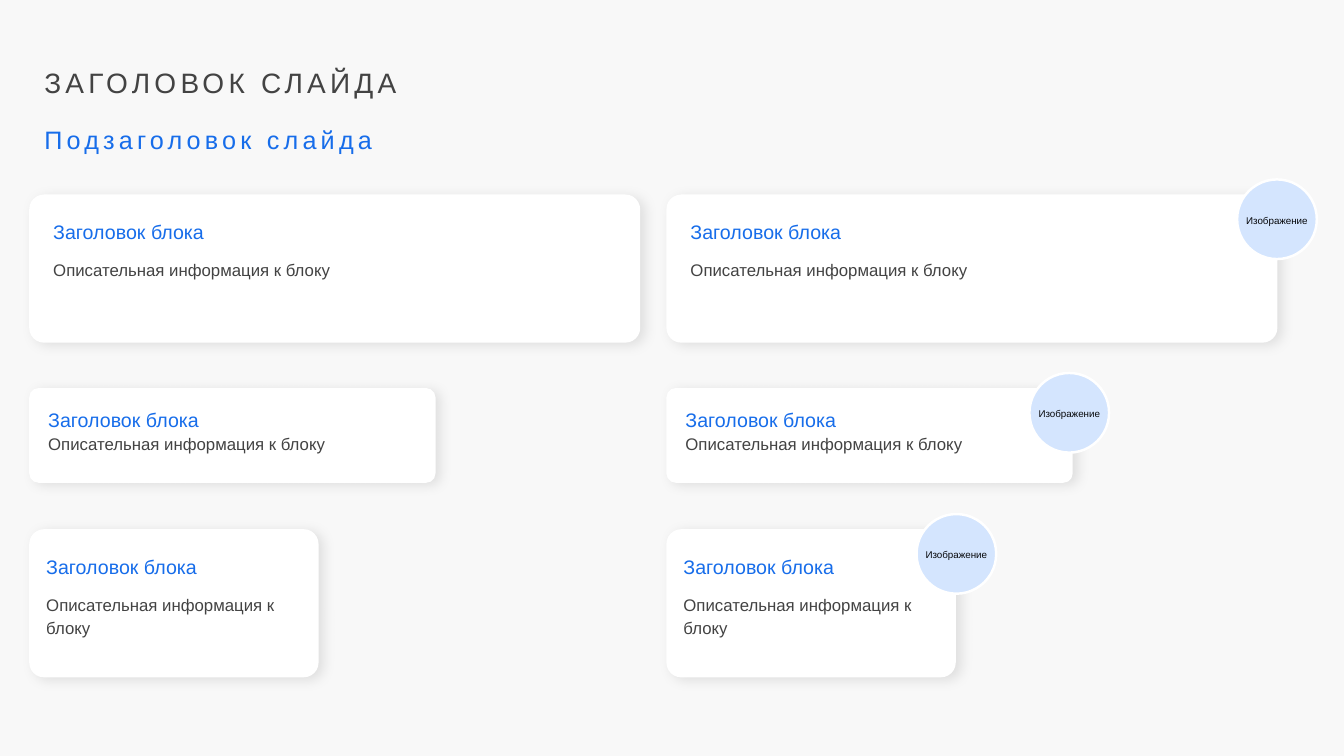
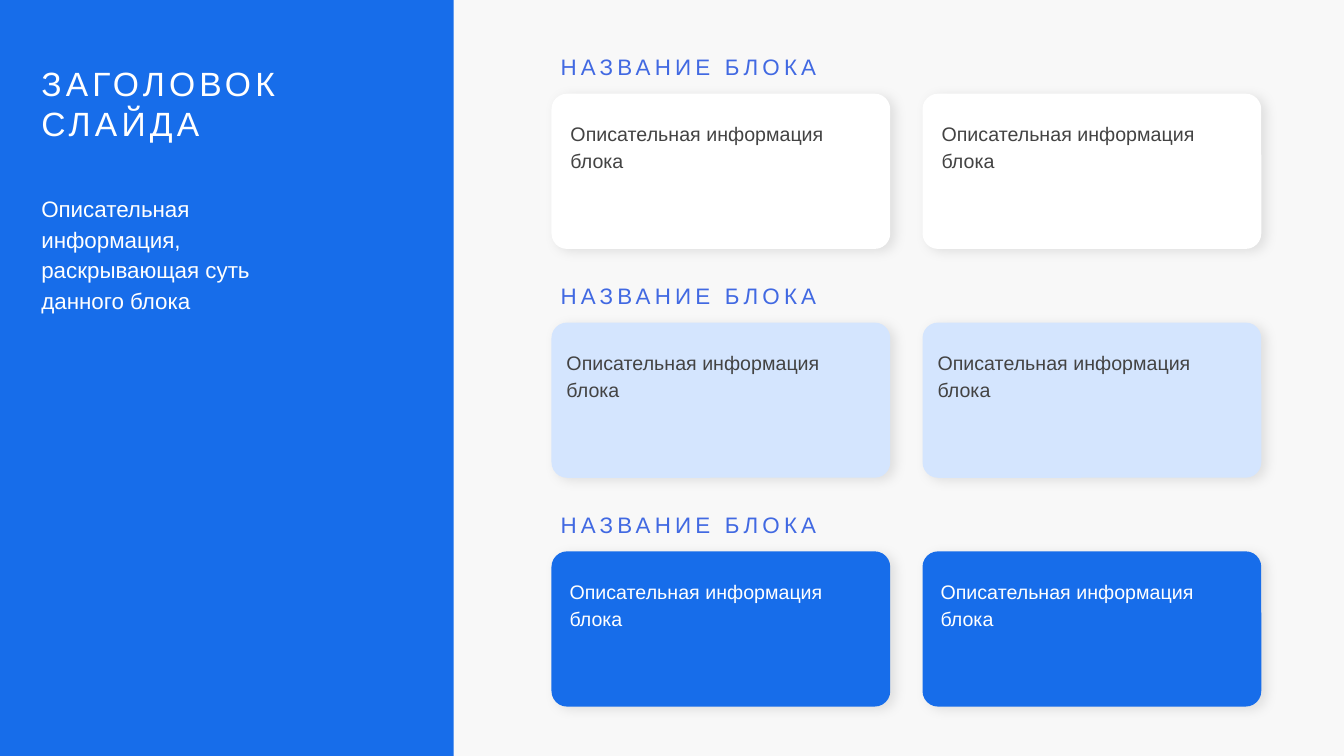
from lxml import etree
from pptx import Presentation
from pptx.dml.color import RGBColor
from pptx.enum.shapes import MSO_SHAPE
from pptx.enum.text import MSO_ANCHOR, PP_ALIGN
from pptx.oxml.ns import qn
from pptx.util import Inches, Pt

BACK = RGBColor(0xF8, 0xF8, 0xF8)
WHITE = RGBColor(0xFF, 0xFF, 0xFF)
BLUE = RGBColor(0x17, 0x6D, 0xEA)
PALE = RGBColor(0xD4, 0xE5, 0xFE)
GREY = RGBColor(0x43, 0x43, 0x43)
INDIGO = RGBColor(0x41, 0x69, 0xE2)
BLACK = RGBColor(0x07, 0x08, 0x0B)

FONT = "Arial"
LEADING = 1.15
SPACING = 3
INSETS = (0.1, 0.05)

TITLE = "ЗАГОЛОВОК СЛАЙДА"
SUBTITLE = "Подзаголовок слайда"
CARD_TITLE = "Заголовок блока"
CARD_TEXT = "Описательная информация к блоку"
BADGE_TEXT = "Изображение"
CARD_COLUMNS = [(0.29, False), (6.61, True)]
CARD_ROWS = [
    dict(top=1.93, size=(6.06, 1.47), inset=0.14, width=5.27,
         title_dy=0.17, text_dy=0.57, badge_dx=0.4),
    dict(top=3.85, size=(4.03, 0.94), inset=0.09, width=3.5,
         title_dy=0.11, text_dy=0.37, badge_dx=0.43),
    dict(top=5.25, size=(2.87, 1.47), inset=0.07, width=2.49,
         title_dy=0.17, text_dy=0.57, badge_dx=0.39),
]
BADGE = 0.79
BADGE_RISE = 0.15
BADGE_LABEL = (0.98, 0.23)

PANEL_TITLE = ["ЗАГОЛОВОК", "СЛАЙДА"]
PANEL_TEXT = "Описательная информация, раскрывающая суть данного блока"
BLOCK_TITLE = "НАЗВАНИЕ БЛОКА"
BLOCK_TEXT = "Описательная информация блока"
BLOCK_LEFT, BLOCK_TOP = 5.47, 0.93
BLOCK_SIZE = (3.36, 1.54)
BLOCK_STEP = (3.68, 2.27)
BLOCK_ROWS = [
    dict(fill=WHITE, color=GREY, inset=0.09, width=3.18),
    dict(fill=PALE, color=GREY, inset=0.05, width=2.92),
    dict(fill=BLUE, color=WHITE, inset=0.08, width=2.92),
]


def add_text(shapes, box, lines, size, color, spacing=0, leading=LEADING,
             insets=(0, 0), align=PP_ALIGN.LEFT):
    tf = shapes.add_textbox(*map(Inches, box)).text_frame
    dx, dy = map(Inches, insets)
    frame = dict(word_wrap=True, vertical_anchor=MSO_ANCHOR.TOP,
                 margin_left=dx, margin_right=dx, margin_top=dy, margin_bottom=dy)
    for name, value in frame.items():
        setattr(tf, name, value)
    for i, line in enumerate(lines):
        p = tf.add_paragraph() if i else tf.paragraphs[0]
        p.alignment, p.line_spacing = align, leading
        r = p.add_run()
        r.text = line
        for name, value in dict(name=FONT, size=Pt(size)).items():
            setattr(r.font, name, value)
        r.font.color.rgb = color
        if spacing:
            r.font._element.set("spc", str(spacing * 100))


def add_shape(shapes, kind, box, fill, line=None):
    sp = shapes.add_shape(kind, *map(Inches, box))
    sp.shadow.inherit = False
    sp.fill.solid()
    sp.fill.fore_color.rgb = fill
    if line is None:
        sp.line.fill.background()
    else:
        sp.line.color.rgb = line
        sp.line.width = Pt(1.75)
    return sp


def add_card(shapes, box, fill):
    sp = add_shape(shapes, MSO_SHAPE.ROUNDED_RECTANGLE, box, fill)
    sp.adjustments[0] = 0.1
    effects = sp._element.spPr.find(qn("a:effectLst"))
    shadow = etree.SubElement(effects, qn("a:outerShdw"), blurRad=str(Pt(9)),
                              dist=str(Pt(3.8)), dir=str(28 * 60000),
                              algn="tl", rotWithShape="0")
    color = etree.SubElement(shadow, qn("a:srgbClr"), val="000000")
    etree.SubElement(color, qn("a:alpha"), val="9000")


def add_badge(shapes, x, y):
    add_shape(shapes, MSO_SHAPE.OVAL, (x, y, BADGE, BADGE), PALE, WHITE)
    w, h = BADGE_LABEL
    box = (x + (BADGE - w) / 2, y + (BADGE - h) / 2, w, h)
    add_text(shapes, box, [BADGE_TEXT], 7, BLACK, insets=INSETS,
             align=PP_ALIGN.CENTER)


def add_slide(prs):
    s = prs.slides.add_slide(prs.slide_layouts[6])
    s.background.fill.solid()
    s.background.fill.fore_color.rgb = BACK
    return s


def build_cards(prs):
    s = add_slide(prs)
    add_text(s.shapes, (0.44, 0.6, 5, 0.39), [TITLE], 20, GREY, SPACING)
    add_text(s.shapes, (0.44, 1.19, 5, 0.35), [SUBTITLE], 18, BLUE, SPACING)
    for left, has_badge in CARD_COLUMNS:
        for row in CARD_ROWS:
            shapes = s.shapes.add_group_shape().shapes
            top, x = row["top"], left + row["inset"]
            add_card(shapes, (left, top, *row["size"]), WHITE)
            add_text(shapes, (x, top + row["title_dy"], row["width"], 0.36),
                     [CARD_TITLE], 14, BLUE, insets=INSETS)
            add_text(shapes, (x, top + row["text_dy"], row["width"], 0.55),
                     [CARD_TEXT], 12, GREY, insets=INSETS)
            if has_badge:
                add_badge(shapes, left + row["size"][0] - row["badge_dx"],
                          top - BADGE_RISE)


def build_blocks(prs):
    s = add_slide(prs)
    add_shape(s.shapes, MSO_SHAPE.RECTANGLE, (0, 0, 4.5, 7.5), BLUE)
    add_text(s.shapes, (0.41, 0.62, 4.09, 0.81), PANEL_TITLE, 24, WHITE,
             SPACING, leading=1.0)
    add_text(s.shapes, (0.41, 1.9, 2.11, 1.21), [PANEL_TEXT], 16, WHITE,
             leading=1.14)
    for i, row in enumerate(BLOCK_ROWS):
        top = BLOCK_TOP + i * BLOCK_STEP[1]
        for j in range(2):
            left = BLOCK_LEFT + j * BLOCK_STEP[0]
            shapes = s.shapes.add_group_shape().shapes
            if j == 0:
                add_text(shapes, (left + 0.09, top - 0.4, 4.11, 0.27),
                         [BLOCK_TITLE], 16, INDIGO, SPACING, leading=1.0)
            add_card(shapes, (left, top, *BLOCK_SIZE), row["fill"])
            add_text(shapes, (left + row["inset"], top + 0.2, row["width"], 0.63),
                     [BLOCK_TEXT], 14, row["color"], insets=INSETS)


def main():
    prs = Presentation()
    prs.slide_width, prs.slide_height = Inches(13.33), Inches(7.5)
    build_cards(prs)
    build_blocks(prs)
    prs.save("out.pptx")


if __name__ == "__main__":
    main()
